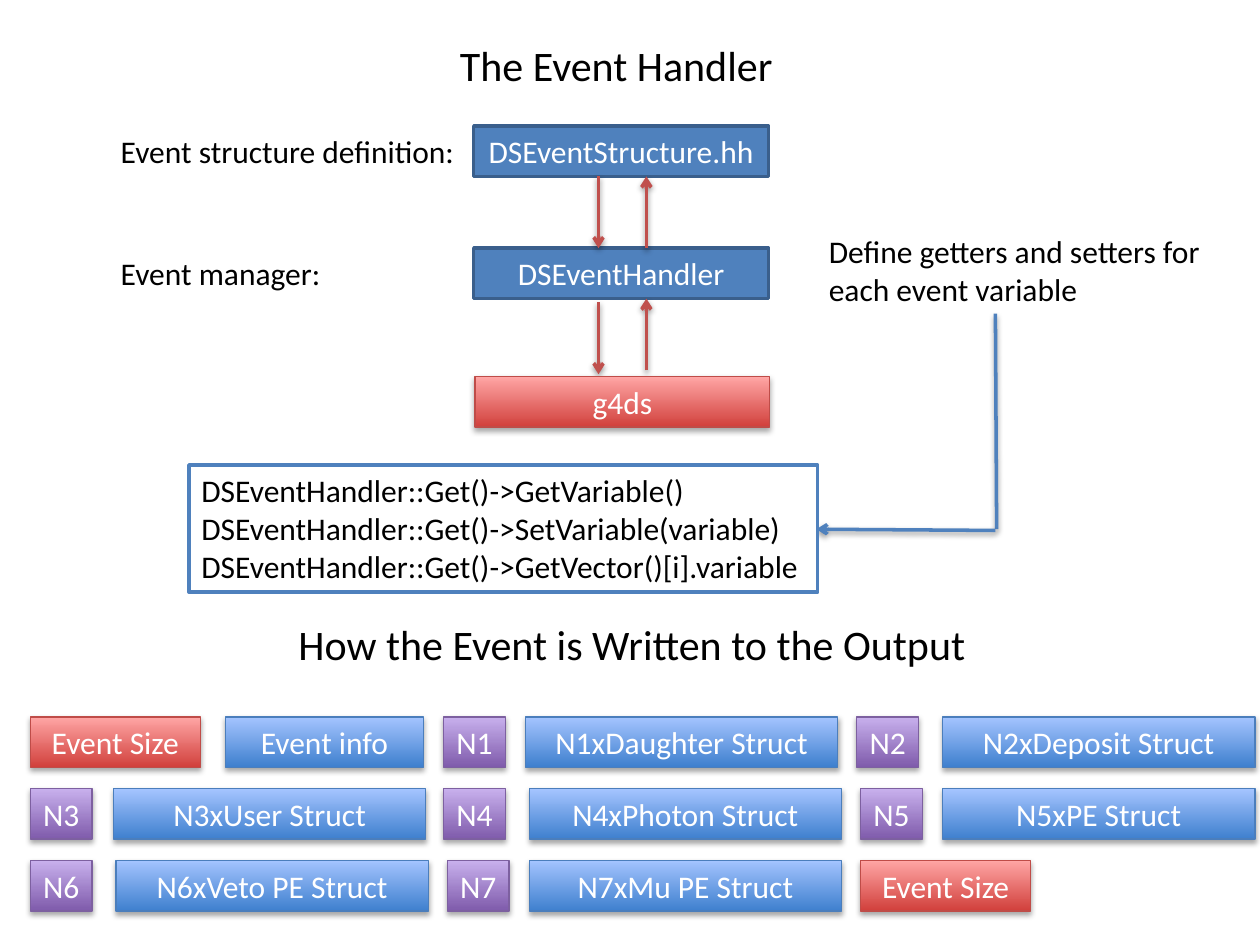
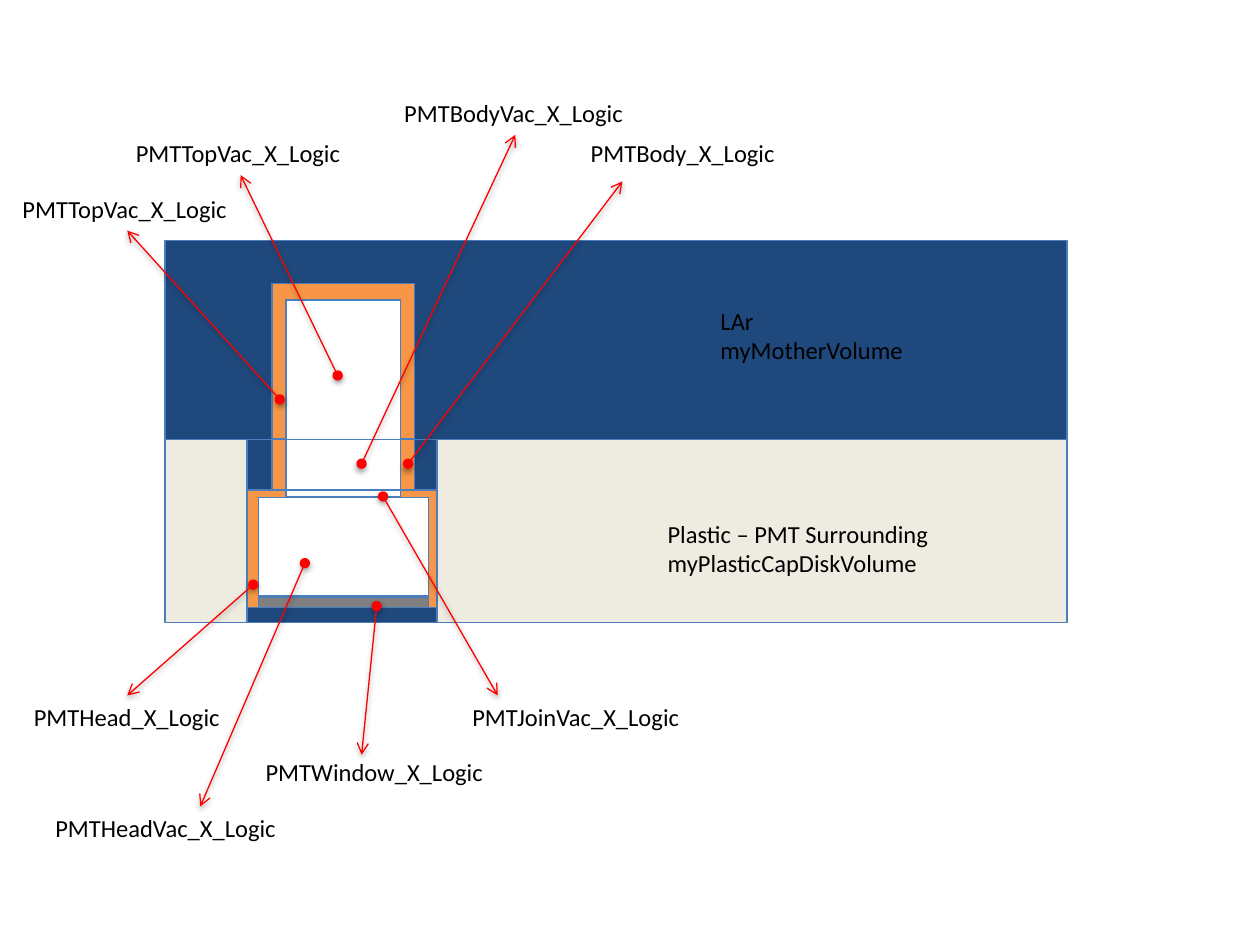
from dataclasses import dataclass

from lxml.etree import SubElement
from pptx import Presentation
from pptx.dml.color import RGBColor
from pptx.enum.shapes import MSO_CONNECTOR, MSO_SHAPE
from pptx.enum.text import MSO_ANCHOR, MSO_AUTO_SIZE, PP_ALIGN
from pptx.oxml.ns import qn
from pptx.util import Emu, Pt

PX = 9144  # EMU in one px, 100 px to the inch


@dataclass(frozen=True)
class Theme:
    font: str = "Calibri"
    title_size: int = 24
    body_size: int = 18
    label_size: int = 14
    thin: float = 0.75
    thick: float = 2
    black: str = "000000"
    white: str = "FFFFFF"
    blue: str = "4F81BD"
    blue_edge: str = "3A5F8C"
    thin_blue: str = "4B7EBC"
    red: str = "C0504D"
    pointer: str = "FF0000"
    navy: str = "1F497D"
    cream: str = "EEECE1"
    orange: str = "F79646"
    gray: str = "808080"
    # Gradient boxes: bottom colour, top colour, edge colour
    red_box: tuple = ("D1403C", "FFA6A5", "BF4C48")
    blue_box: tuple = ("3F80CE", "A4C4FF", "4B7EBC")
    purple_box: tuple = ("7F5BAB", "C8B0ED", "7D60A0")


THEME = Theme()

# Output record blocks: width and colours of each kind
BLOCKS = {
    "size": (135, THEME.red_box),
    "info": (157, THEME.blue_box),
    "count": (49, THEME.purple_box),
    "struct": (248, THEME.blue_box),
}
OUTPUT_ROWS = [
    [(24, "size", "Event Size"), (179, "info", "Event info"),
     (352, "count", "N1"), (417, "struct", "N1xDaughter Struct"),
     (680, "count", "N2"), (748, "struct", "N2xDeposit Struct")],
    [(24, "count", "N3"), (90, "struct", "N3xUser Struct"),
     (352, "count", "N4"), (420, "struct", "N4xPhoton Struct"),
     (683, "count", "N5"), (748, "struct", "N5xPE Struct")],
    [(24, "count", "N6"), (92, "struct", "N6xVeto PE Struct"),
     (355, "count", "N7"), (420, "struct", "N7xMu PE Struct"),
     (683, "size", "Event Size")],
]

# Detector volumes from back to front
VOLUMES = [
    ((131, 191, 716, 302), THEME.navy),
    ((131, 349, 716, 145), THEME.cream),
    ((196, 349, 151, 145), THEME.navy),
    ((196, 389, 151, 93), THEME.orange),
    ((205, 395, 135, 78), THEME.white),
    ((205, 474, 135, 8), THEME.gray),
    ((216, 349, 113, 40), THEME.orange),
    ((227, 349, 91, 40), THEME.white),
    ((227, 389, 91, 5), THEME.white),
    ((216, 225, 113, 123), THEME.orange),
    ((227, 238, 91, 111), THEME.white),
]
VOLUME_NAMES = [
    ((520, 407, 229, 57), ["Plastic – PMT Surrounding", "myPlasticCapDiskVolume"]),
    ((562, 238, 167, 57), ["LAr", "myMotherVolume"]),
]
# Label, its left, top and width, then the arrow tip and the dot
POINTERS = [
    ("PMTHead_X_Logic", (17, 552, 169), (101, 552), (201, 464)),
    ("PMTHeadVac_X_Logic", (34, 640, 198), (159, 640), (242, 447)),
    ("PMTWindow_X_Logic", (201, 596, 194), (287, 599), (299, 481)),
    ("PMTJoinVac_X_Logic", (365, 552, 187), (395, 552), (304, 394)),
    ("PMTBody_X_Logic", (459, 105, 167), (494, 144), (324, 368)),
    ("PMTBodyVac_X_Logic", (311, 73, 197), (409, 107), (287, 368)),
    ("PMTTopVac_X_Logic", (98, 105, 186), (191, 139), (268, 298)),
    ("PMTTopVac_X_Logic", (8, 149, 186), (101, 183), (222, 317)),
]


def px(*lengths):
    return [Emu(length * PX) for length in lengths]


def set_attributes(target, values):
    for name, value in values.items():
        setattr(target, name, value)


def set_line(line, color, width):
    line.color.rgb = RGBColor.from_string(color)
    line.width = Pt(width)


def add_shadow(shape, distance, opacity):
    """Put a soft black shadow below a shape or connector."""
    properties = shape.element.spPr
    effects = properties.find(qn("a:effectLst"))
    if effects is None:
        effects = SubElement(properties, qn("a:effectLst"))
    shadow = SubElement(effects, qn("a:outerShdw"), blurRad="40000",
                        dist=str(distance), dir="5400000", rotWithShape="0")
    color = SubElement(shadow, qn("a:srgbClr"), val=THEME.black)
    SubElement(color, qn("a:alpha"), val=str(opacity * 1000))


def write_text(shape, lines, size, color=THEME.black, align=PP_ALIGN.LEFT,
               anchor=MSO_ANCHOR.TOP, wrap=True):
    frame = shape.text_frame
    frame.text = "\n".join(lines)
    set_attributes(frame, {"word_wrap": wrap, "vertical_anchor": anchor,
                           "auto_size": MSO_AUTO_SIZE.SHAPE_TO_FIT_TEXT})
    for paragraph in frame.paragraphs:
        paragraph.alignment = align
        for run in paragraph.runs:
            set_attributes(run.font, {"name": THEME.font, "size": Pt(size)})
            run.font.color.rgb = RGBColor.from_string(color)


def add_title(slide, box, text):
    title = slide.shapes.title
    set_attributes(title, dict(zip(("left", "top", "width", "height"), px(*box))))
    write_text(title, [text], THEME.title_size, wrap=False)


def add_text(slide, box, lines, size, **options):
    write_text(slide.shapes.add_textbox(*px(*box)), lines, size, **options)


def add_box(slide, box, fill, edge, width):
    shape = slide.shapes.add_shape(MSO_SHAPE.RECTANGLE, *px(*box))
    shape.shadow.inherit = False
    shape.fill.solid()
    shape.fill.fore_color.rgb = RGBColor.from_string(fill)
    set_line(shape.line, edge, width)
    return shape


def write_box_name(shape, text):
    write_text(shape, [text], THEME.body_size, THEME.white,
               PP_ALIGN.CENTER, MSO_ANCHOR.MIDDLE)


def add_gradient_box(slide, box, colors, text):
    bottom, top, edge = colors
    shape = add_box(slide, box, bottom, edge, THEME.thin)
    shape.fill.gradient()
    shape.fill.gradient_angle = 90
    for stop, position, color in zip(shape.fill.gradient_stops, (0, 1), (bottom, top)):
        stop.position = position
        stop.color.rgb = RGBColor.from_string(color)
    add_shadow(shape, 23000, 35)
    write_box_name(shape, text)


def add_line(slide, start, end, color, width, head=None, tail=None):
    connector = slide.shapes.add_connector(MSO_CONNECTOR.STRAIGHT, *px(*start, *end))
    set_line(connector.line, color, width)
    outline = connector.element.spPr.find(qn("a:ln"))
    for tag, kind in (("a:headEnd", head), ("a:tailEnd", tail)):
        if kind:
            SubElement(outline, qn(tag), type=kind)
    add_shadow(connector, 20000, 38)


def build_event_slide(presentation):
    slide = presentation.slides.add_slide(presentation.slide_layouts[5])
    add_title(slide, (355, 26, 271, 50), "The Event Handler")

    # Chain of classes
    for top, name in ((197, "DSEventHandler"), (100, "DSEventStructure.hh")):
        box = add_box(slide, (376, top, 234, 40), THEME.blue,
                      THEME.blue_edge, THEME.thick)
        write_box_name(box, name)
    for start, end in (((475, 140), (475, 197)), ((513, 197), (513, 140)),
                       ((475, 240), (475, 297)), ((513, 294), (513, 237))):
        add_line(slide, start, end, THEME.red, THEME.thick, tail="arrow")
    add_gradient_box(slide, (377, 299, 234, 40), THEME.red_box, "g4ds")

    # Side notes
    for box, note in (
            ((86, 100, 326, 40), "Event structure definition:"),
            ((86, 197, 326, 40), "Event manager:"),
            ((648, 179, 326, 71), "Define getters and setters for each event variable")):
        add_text(slide, box, [note], THEME.body_size)

    # Accessor calls
    add_line(slide, (790, 249), (791, 420), THEME.blue, THEME.thick)
    add_line(slide, (790, 421), (648, 420), THEME.blue, THEME.thick, tail="arrow")
    calls = add_box(slide, (150, 369, 499, 101), THEME.white, THEME.blue, THEME.thick)
    write_text(calls, ["DSEventHandler::Get()->GetVariable()",
                       "DSEventHandler::Get()->SetVariable(variable)",
                       "DSEventHandler::Get()->GetVector()[i].variable"],
               THEME.body_size)

    # Output record
    add_text(slide, (224, 486, 555, 50), ["How the Event is Written to the Output"],
             THEME.title_size, align=PP_ALIGN.CENTER, wrap=False)
    for row, blocks in enumerate(OUTPUT_ROWS):
        for left, kind, text in blocks:
            width, colors = BLOCKS[kind]
            add_gradient_box(slide, (left, 569 + 57 * row, width, 40), colors, text)


def build_detector_slide(presentation):
    slide = presentation.slides.add_slide(presentation.slide_layouts[6])
    for box, fill in VOLUMES:
        add_box(slide, box, fill, THEME.thin_blue, THEME.thin)
    for box, lines in VOLUME_NAMES:
        add_text(slide, box, lines, THEME.label_size, wrap=False)
    for label, place, tip, dot in POINTERS:
        add_text(slide, (*place, 34), [label], THEME.label_size, wrap=False)
        add_line(slide, tip, dot, THEME.pointer, THEME.thin, head="arrow", tail="oval")


def main():
    presentation = Presentation()
    width, height = px(1000, 750)
    set_attributes(presentation, {"slide_width": width, "slide_height": height})
    build_event_slide(presentation)
    build_detector_slide(presentation)
    presentation.save("out.pptx")


if __name__ == "__main__":
    main()
